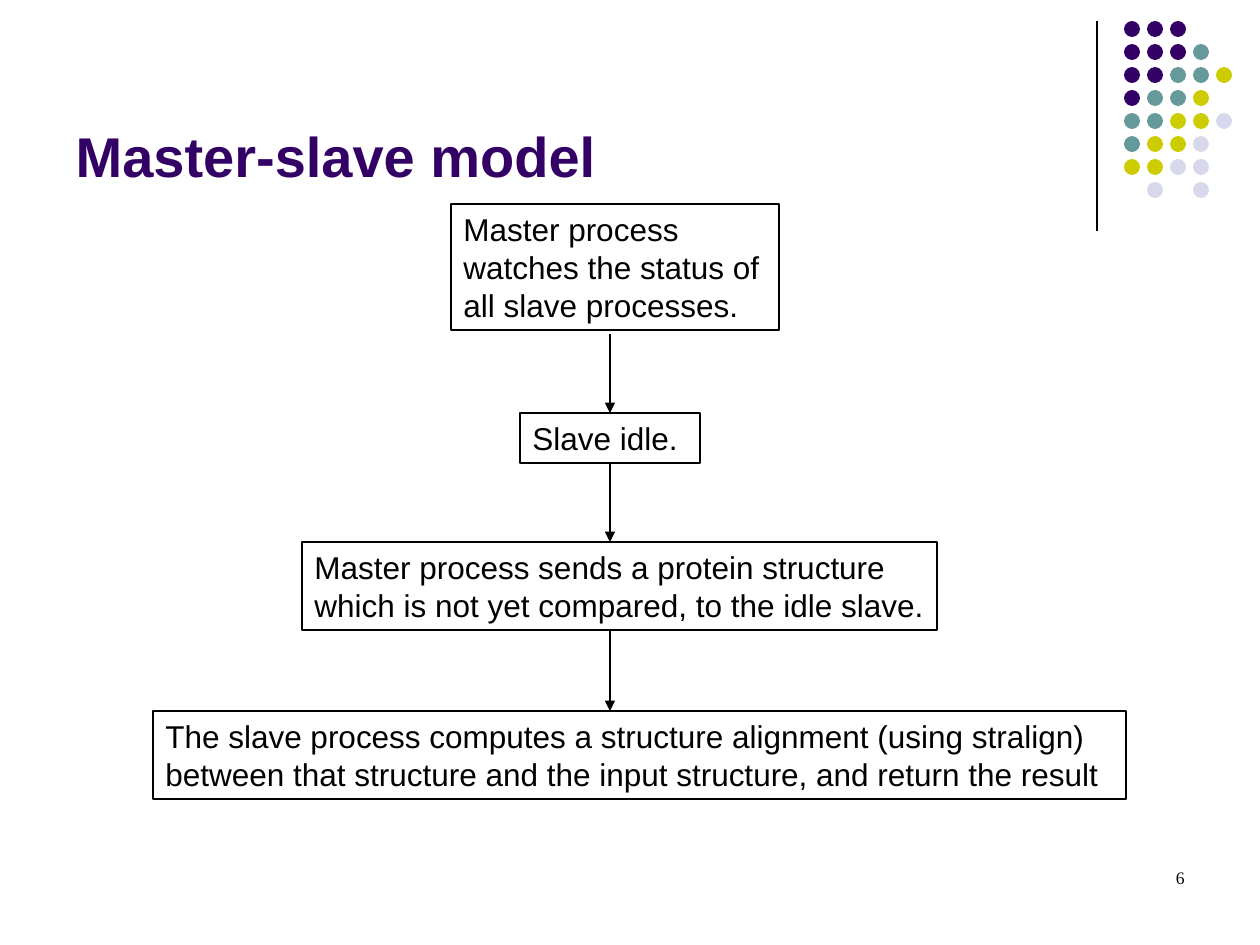
from dataclasses import dataclass

from pptx import Presentation
from pptx import util as u
from pptx.dml.color import RGBColor
from pptx.enum import shapes, text
from pptx.oxml import ns
from lxml import etree

PX_PER_INCH = 126


@dataclass(frozen=True)
class Theme:
    ink: str = "000000"
    purple: str = "330066"
    teal: str = "669999"
    olive: str = "CCCC00"
    lavender: str = "D8D8EC"
    font: str = "Arial"
    number_font: str = "Times New Roman"
    title_size: int = 32
    body_size: int = 18
    number_size: int = 10
    line_width: float = 0.75


def px(*lengths):
    """Turn whole pixels into EMU."""
    return [u.Emu(round(length * u.Inches(1) / PX_PER_INCH)) for length in lengths]


def write(frame, content, *, font, size, color, bold=False,
          align=text.PP_ALIGN.LEFT, anchor=text.MSO_ANCHOR.TOP):
    frame.word_wrap = True
    frame.auto_size = text.MSO_AUTO_SIZE.NONE
    frame.vertical_anchor = anchor
    paragraph = frame.paragraphs[0]
    paragraph.alignment = align
    run = paragraph.add_run()
    run.text = content
    run.font.name = font
    run.font.size = u.Pt(size)
    run.font.bold = bold
    run.font.color.rgb = RGBColor.from_string(color)


class Deck:
    """Holds the theme and the slide being drawn."""

    def __init__(self, slide, theme):
        self.slide = slide
        self.theme = theme

    def title(self, content, *place):
        heading = self.slide.shapes.title
        heading.left, heading.top, heading.width, heading.height = px(*place)
        write(heading.text_frame, content, font=self.theme.font,
              size=self.theme.title_size, color=self.theme.purple, bold=True,
              anchor=text.MSO_ANCHOR.BOTTOM)

    def page_number(self, content, *place):
        number = self.slide.shapes.add_textbox(*px(*place))
        write(number.text_frame, content, font=self.theme.number_font,
              size=self.theme.number_size, color=self.theme.ink,
              align=text.PP_ALIGN.RIGHT)

    def step(self, content, *place):
        box = self.slide.shapes.add_shape(shapes.MSO_SHAPE.RECTANGLE, *px(*place))
        box.shadow.inherit = False
        box.fill.background()
        self.outline(box.line)
        write(box.text_frame, content, font=self.theme.font,
              size=self.theme.body_size, color=self.theme.ink)
        return box

    def dot(self, color, left, top, size):
        dot = self.slide.shapes.add_shape(
            shapes.MSO_SHAPE.OVAL, *px(left, top, size, size))
        dot.shadow.inherit = False
        dot.fill.solid()
        dot.fill.fore_color.rgb = RGBColor.from_string(color)
        dot.line.fill.background()

    def vertical(self, x, top, bottom):
        rule = self.slide.shapes.add_connector(
            shapes.MSO_CONNECTOR.STRAIGHT, *px(x, top, x, bottom))
        self.outline(rule.line)
        etree.SubElement(rule.element.spPr, ns.qn("a:effectLst"))
        return rule

    def arrow(self, x, top, bottom):
        arrow = self.vertical(x, top, bottom)
        etree.SubElement(arrow.line._get_or_add_ln(), ns.qn("a:tailEnd"),
                         type="triangle")
        return arrow

    def outline(self, line):
        line.color.rgb = RGBColor.from_string(self.theme.ink)
        line.width = u.Pt(self.theme.line_width)


def draw_dots(deck):
    theme = deck.theme
    colors = {"p": theme.purple, "t": theme.teal,
              "o": theme.olive, "l": theme.lavender}
    rows = ["ppp", "pppt", "pptto", "ptto", "ttool", "tool", "ooll", ".l.l"]
    pitch = 23
    for row, codes in enumerate(rows):
        for column, code in enumerate(codes):
            if code in colors:
                deck.dot(colors[code], 1124 + column * pitch, 21 + row * pitch, 16)


def main():
    presentation = Presentation()
    presentation.slide_width, presentation.slide_height = px(1260, 945)
    title_only = presentation.slide_layouts[5]
    deck = Deck(presentation.slides.add_slide(title_only), Theme())

    deck.vertical(1097, 21, 231)
    draw_dots(deck)
    deck.title("Master-slave model", 63, 16, 1040, 179)

    deck.step("Master process watches the status of all slave processes.",
              451, 204, 328, 126)
    idle = deck.step("Slave idle.", 520, 413, 180, 50)
    deck.step("Master process sends a protein structure which is not yet "
              "compared, to the idle slave.", 302, 542, 635, 88)
    deck.step("The slave process computes a structure alignment (using stralign) "
              "between that structure and the input structure, and return the "
              "result", 153, 711, 973, 88)

    flow_x = 610
    deck.arrow(flow_x, 334, 413).end_connect(idle, 0)
    deck.arrow(flow_x, 463, 542).begin_connect(idle, 2)
    deck.arrow(flow_x, 631, 711)
    deck.page_number("6", 903, 861, 294, 63)

    presentation.save("out.pptx")


if __name__ == "__main__":
    main()
